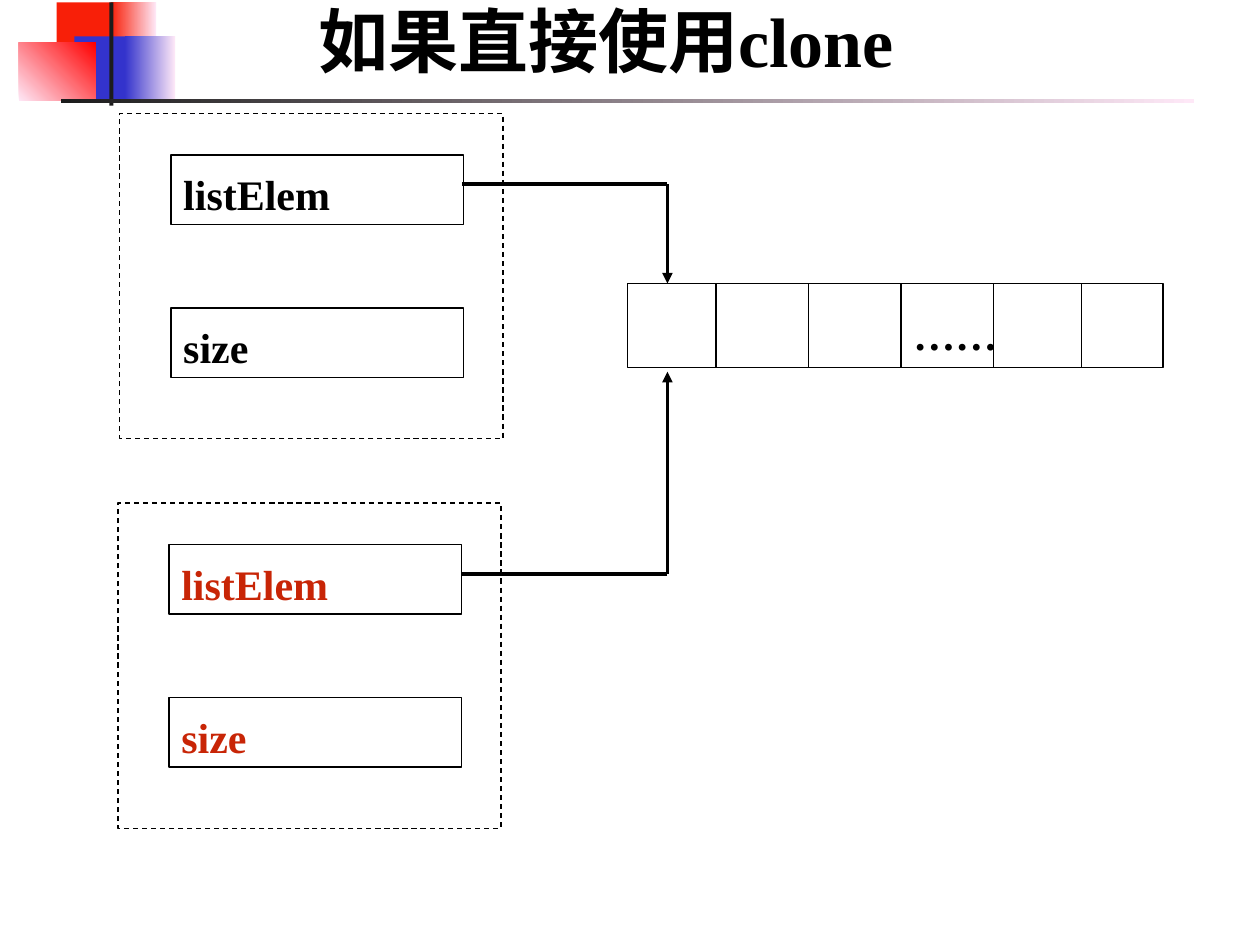
from dataclasses import dataclass

from lxml.etree import SubElement
from pptx import Presentation
from pptx.dml.color import RGBColor
from pptx.enum.dml import MSO_LINE
from pptx.enum.shapes import MSO_CONNECTOR, MSO_SHAPE
from pptx.enum.text import MSO_ANCHOR, PP_ALIGN
from pptx.oxml.ns import qn
from pptx.util import Pt


@dataclass(frozen=True)
class Theme:
    font: str = "Times New Roman"
    ink: str = "000000"
    paper: str = "FFFFFF"
    accent: str = "C82506"
    red: str = "F81F08"
    bright: str = "FF0000"
    blue: str = "3333CC"
    pale: str = "FEE8F7"
    rule: str = "1C1C1C"
    title: float = 40
    body: float = 24
    thin: float = 0.75
    thick: float = 2


T = Theme()


def rgb(c):
    return RGBColor.from_string(c)


def apply(obj, values):
    for name, value in values.items():
        setattr(obj, name, value)


def rect(shapes, box, fill, line=None, dash=None, angle=0):
    sp = shapes.add_shape(MSO_SHAPE.RECTANGLE, *map(Pt, box))
    sp.shadow.inherit = False
    if isinstance(fill, tuple):
        sp.fill.gradient()
        sp.fill.gradient_angle = angle
        for stop, c in zip(sp.fill.gradient_stops, fill):
            stop.color.rgb = rgb(c)
    else:
        sp.fill.solid()
        sp.fill.fore_color.rgb = rgb(fill)
    if line:
        sp.line.color.rgb = rgb(line)
        apply(sp.line, {"width": Pt(T.thin), "dash_style": dash})
    else:
        sp.line.fill.background()
    return sp


def line(shapes, start, end, width, arrow=False):
    c = shapes.add_connector(MSO_CONNECTOR.STRAIGHT, *map(Pt, start + end))
    c.line.color.rgb = rgb(T.ink)
    c.line.width = Pt(width)
    if arrow:
        SubElement(c.line._get_or_add_ln(), qn("a:tailEnd"), type="triangle")
    SubElement(c._element.spPr, qn("a:effectLst"))


def write(sp, text, size, color, insets, align=PP_ALIGN.LEFT,
          anchor=MSO_ANCHOR.MIDDLE, wrap=True):
    tf = sp.text_frame
    sides = ("margin_left", "margin_top", "margin_right", "margin_bottom")
    apply(tf, dict(zip(sides, map(Pt, insets))))
    apply(tf, {"word_wrap": wrap, "vertical_anchor": anchor})
    p = tf.paragraphs[0]
    p.alignment = align
    r = p.add_run()
    r.text = text
    apply(r.font, {"name": T.font, "size": Pt(size), "bold": True})
    r.font.color.rgb = rgb(color)


def ornament(s, x, y):
    parts = [
        ((21.6, 0, 34.6, 37.4), T.red, 0),
        ((52.6, 0, 25.9, 37.4), (T.red, T.pale), 0),
        ((31.7, 19.4, 33.1, 37.4), T.blue, 0),
        ((60.5, 19.4, 28.8, 37.4), (T.blue, T.pale), 0),
        ((0, 23, 43.9, 33.1), (T.pale, T.bright), 45),
        ((51.8, 0, 2.2, 59), T.rule, 0),
        ((23.8, 55.2, 648, 2.2), (T.rule, T.pale), 0),
    ]
    for (dx, dy, w, h), fill, angle in parts:
        rect(s.shapes, (x + dx, y + dy, w, h), fill, angle=angle)


def title(s, box, text):
    sp = s.shapes.add_textbox(*map(Pt, box))
    write(sp, text, T.title, T.ink, (4.3,) * 4, PP_ALIGN.CENTER, MSO_ANCHOR.TOP)


def list_object(s, box, color):
    x, y, w, h = box
    rect(s.shapes, box, T.paper, T.ink, MSO_LINE.DASH)
    for i, name in enumerate(("listElem", "size")):
        field = (x + 29.2, y + 23.8 + i * 87.4, 167, 39.6)
        sp = rect(s.shapes, field, T.paper, T.ink)
        write(sp, name, T.body, color, (7, 7, 4.3, 2.4))


def array(s, box, dividers):
    x, y, w, h = box
    shapes = s.shapes.add_group_shape().shapes
    rect(shapes, box, T.paper, T.ink)
    for dx in dividers:
        line(shapes, (x + dx, y + h), (x + dx, y), T.thin)
    sp = shapes.add_textbox(*map(Pt, (x + dividers[2] + 7, y + 9.4, 48, 33.8)))
    write(sp, "……", T.body, T.ink, (0, 4.6, 0, 0), wrap=False)


def pointer(s, start, end):
    corner = (end[0], start[1])
    line(s.shapes, start, corner, T.thick)
    line(s.shapes, corner, end, T.thick, arrow=True)


def main():
    prs = Presentation()
    apply(prs, {"slide_width": Pt(720), "slide_height": Pt(540)})
    s = prs.slides.add_slide(prs.slide_layouts[6])
    ornament(s, 10.8, 1.4)
    title(s, (72.7, -5.8, 547.2, 64), "如果直接使用clone")
    list_object(s, (68.5, 64.8, 218.9, 185.8), T.ink)
    list_object(s, (67.4, 287.5, 218.9, 185.8), T.accent)
    array(s, (358.6, 162, 306, 48.2), (50.5, 103.5, 156.3, 209.2, 259.5))
    pointer(s, (264.2, 105.2), (381.4, 162))
    pointer(s, (263.5, 328), (381.4, 212.4))
    prs.save("out.pptx")


if __name__ == "__main__":
    main()
